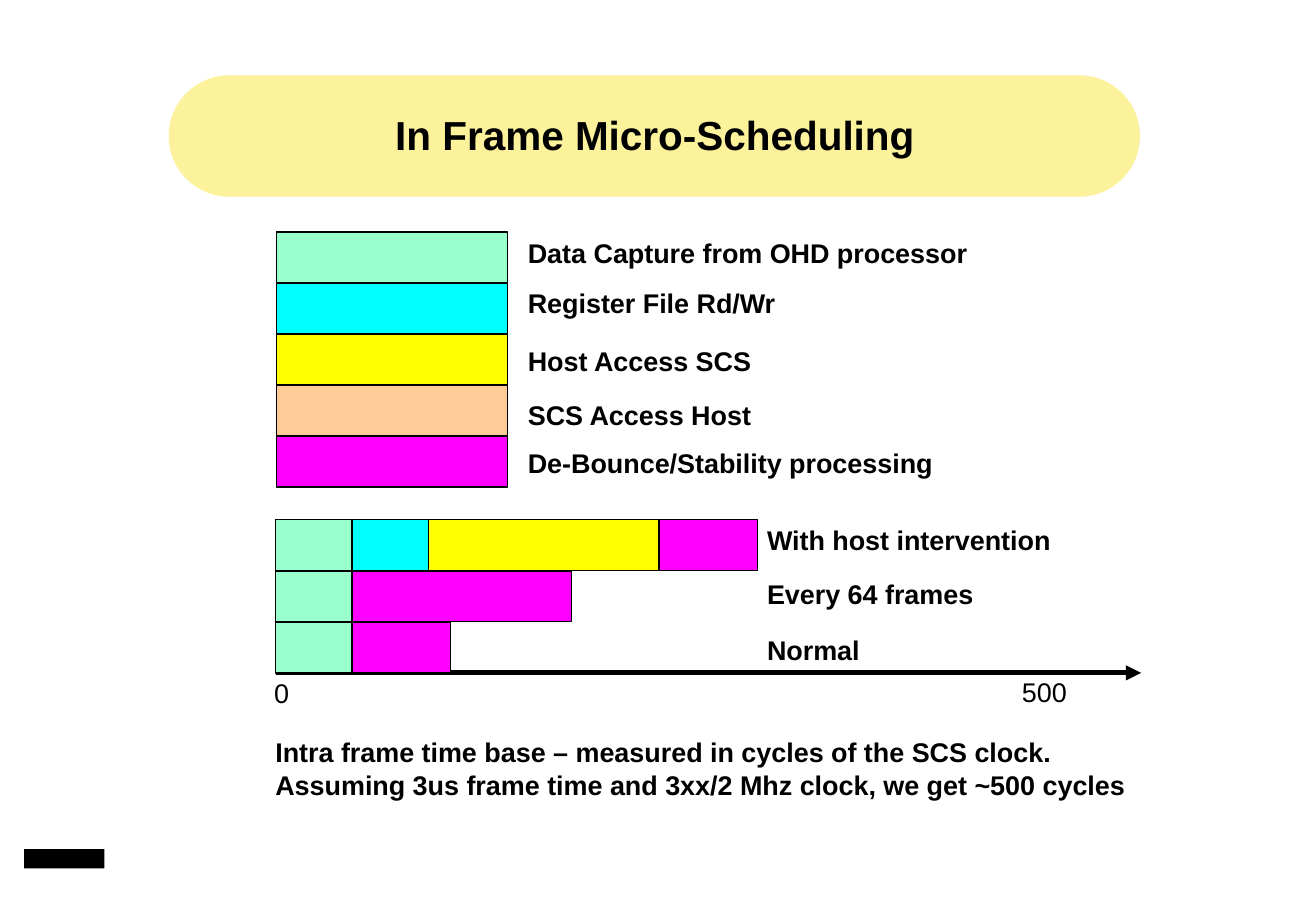
"""Build the In Frame Micro-Scheduling slide."""
from dataclasses import dataclass

from lxml.etree import SubElement
from pptx import Presentation
from pptx.dml.color import RGBColor
from pptx.enum.shapes import MSO_CONNECTOR as Connector, MSO_SHAPE as Shape
from pptx.enum.text import MSO_AUTO_SIZE as AutoSize, PP_ALIGN as Align
from pptx.oxml.ns import qn
from pptx.util import Inches, Pt


@dataclass(frozen=True)
class Theme:
    font: str = "Arial"
    ink: str = "000000"
    banner: str = "FBF29B"
    capture: str = "99FFCC"
    register: str = "00FFFF"
    host_access: str = "FFFF00"
    scs_access: str = "FFCC99"
    debounce: str = "FF00FF"
    title_size: int = 24
    body_size: int = 16
    border: float = 0.75
    axis: float = 3


theme = Theme()
presentation = Presentation()
presentation.slide_width = Inches(10.84)
presentation.slide_height = Inches(7.5)
slide = presentation.slides.add_slide(presentation.slide_layouts[6])


def add_text(text, *, left, top, width, height=0.37, size=theme.body_size,
             bold=True, align=Align.LEFT):
    box = slide.shapes.add_textbox(Inches(left), Inches(top), Inches(width), Inches(height))
    frame = box.text_frame
    frame.text = text
    frame.word_wrap = True
    frame.auto_size = AutoSize.SHAPE_TO_FIT_TEXT
    for paragraph in frame.paragraphs:
        paragraph.alignment = align
        for run in paragraph.runs:
            run.font.name = theme.font
            run.font.size = Pt(size)
            run.font.bold = bold
            run.font.color.rgb = RGBColor.from_string(theme.ink)


def add_block(left, top, width, height, fill, kind=Shape.RECTANGLE, border=True):
    shape = slide.shapes.add_shape(kind, Inches(left), Inches(top), Inches(width), Inches(height))
    shape.shadow.inherit = False
    shape.fill.solid()
    shape.fill.fore_color.rgb = RGBColor.from_string(fill)
    if border:
        shape.line.color.rgb = RGBColor.from_string(theme.ink)
        shape.line.width = Pt(theme.border)
    else:
        shape.line.fill.background()
    return shape


banner = add_block(1.39, 0.62, 8, 1, theme.banner, Shape.ROUNDED_RECTANGLE, border=False)
banner.adjustments[0] = 0.5
add_text("In Frame Micro-Scheduling", left=-0.02, top=0.86, width=10.83, height=0.5,
         size=theme.title_size, align=Align.CENTER)

bar_left, axis_top, bar_height = 2.27, 5.54, 0.42
time_axis = slide.shapes.add_connector(
    Connector.STRAIGHT, Inches(bar_left), Inches(axis_top), Inches(9.4), Inches(axis_top))
time_axis.line.color.rgb = RGBColor.from_string(theme.ink)
time_axis.line.width = Pt(theme.axis)
axis_properties = time_axis._element.spPr
SubElement(axis_properties.find(qn("a:ln")), qn("a:tailEnd"), type="triangle")
SubElement(axis_properties, qn("a:effectLst"))
add_text("0", left=2.16, top=5.52, width=0.4, bold=False)
add_text("500", left=8.32, top=5.51, width=0.7, bold=False)

legend = [
    ("Data Capture from OHD processor", theme.capture, 1.9),
    ("Register File Rd/Wr", theme.register, 2.31),
    ("Host Access SCS", theme.host_access, 2.79),
    ("SCS Access Host", theme.scs_access, 3.23),
    ("De-Bounce/Stability processing", theme.debounce, 3.63),
]
for row, (label, color, label_top) in enumerate(legend):
    add_block(2.28, 1.91 + row * bar_height, 1.9, bar_height, color)
    add_text(label, left=4.25, top=label_top, width=4)

capture = (theme.capture, 0.63)
schedules = [
    ("With host intervention", 4.26,
     [capture, (theme.register, 0.63), (theme.host_access, 1.9), (theme.debounce, 0.81)]),
    ("Every 64 frames", 4.71, [capture, (theme.debounce, 1.81)]),
    ("Normal", 5.17, [capture, (theme.debounce, 0.81)]),
]
for row, (label, label_top, phases) in enumerate(schedules):
    phase_left = bar_left
    phase_top = axis_top - (len(schedules) - row) * bar_height
    for color, duration in phases:
        add_block(phase_left, phase_top, duration, bar_height, color)
        phase_left += duration
    add_text(label, left=6.22, top=label_top, width=2.7)

add_text("Intra frame time base – measured in cycles of the SCS clock.\n"
         "Assuming 3us frame time and 3xx/2 Mhz clock, we get ~500 cycles",
         left=2.17, top=6.01, width=7.5, height=0.64)
add_block(0.2, 6.99, 0.66, 0.16, theme.ink, border=False)

presentation.save("out.pptx")
